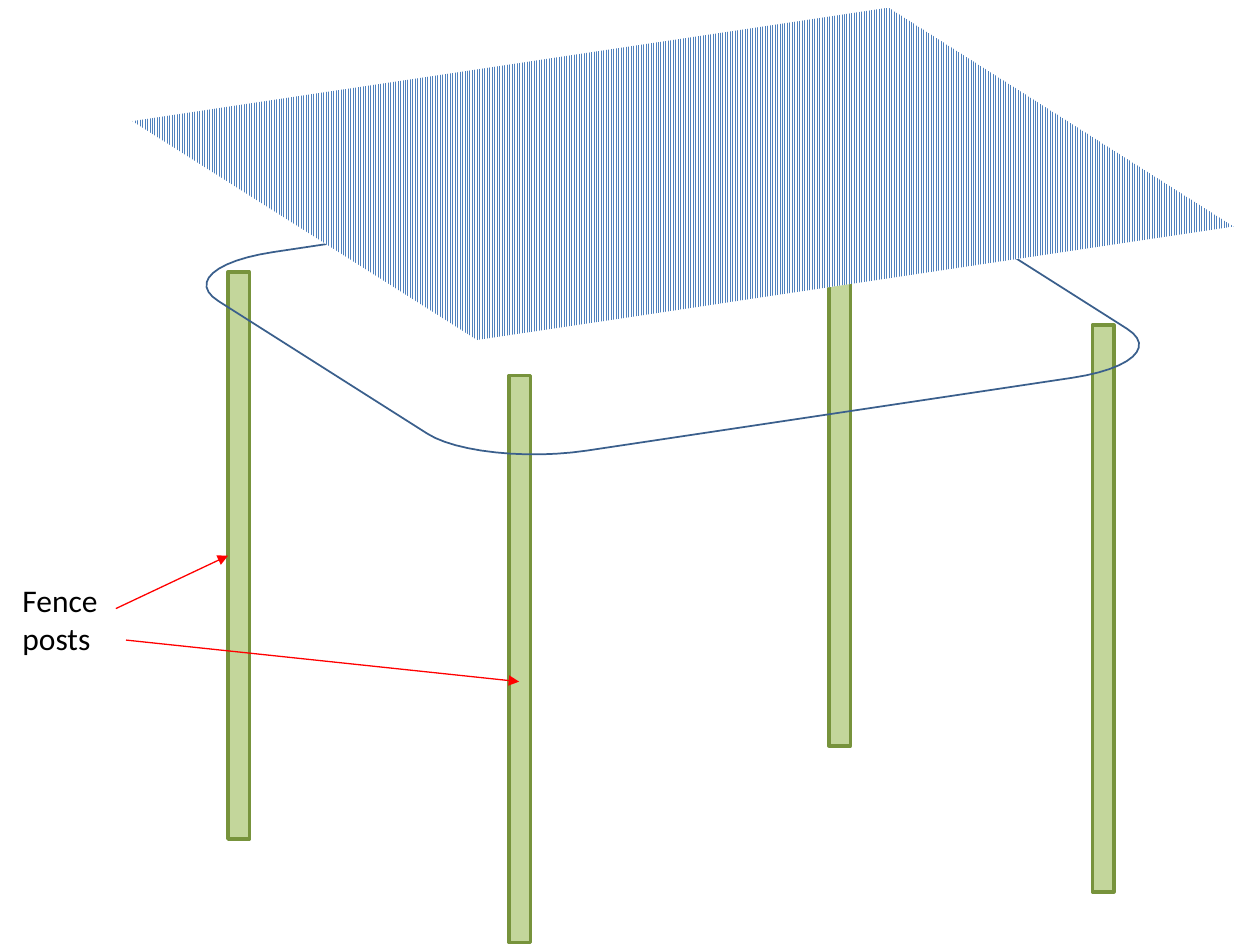
from math import cos, pi, sin

from lxml import etree
from pptx import Presentation
from pptx.dml.color import RGBColor
from pptx.enum.dml import MSO_PATTERN
from pptx.enum.shapes import MSO_CONNECTOR, MSO_SHAPE
from pptx.oxml.ns import qn
from pptx.util import Inches, Pt

RECTANGLE = MSO_SHAPE.RECTANGLE
STRAIGHT = MSO_CONNECTOR.STRAIGHT
LIGHT_VERTICAL = MSO_PATTERN.LIGHT_VERTICAL
BLANK_LAYOUT = 6
POST_WIDTH, POST_HEIGHT = 0.17, 4.5
ACROSS = (0.9, -0.135)
DEPTH = (0.438, 0.278)
CORNERS = [(1, 1), (-1, 1), (-1, -1), (1, -1)]
ARC_STEPS = 12


def color(value):
    return RGBColor.from_string(value)


def tilted_panel(page, center, width, depth, radius):
    steps = ARC_STEPS if radius else 0
    points = []
    for quarter, (side, end) in enumerate(CORNERS):
        for step in range(steps + 1):
            angle = (quarter + step / max(steps, 1)) * pi / 2
            u = side * (width / 2 - radius) + radius * cos(angle)
            v = end * (depth / 2 - radius) + radius * sin(angle)
            points.append(tuple(
                Inches(middle + u * across + v * deep)
                for middle, across, deep in zip(center, ACROSS, DEPTH)
            ))
    builder = page.shapes.build_freeform(*points[0])
    builder.add_line_segments(points[1:], close=True)
    panel = builder.convert_to_shape()
    panel.shadow.inherit = False
    return panel


deck = Presentation()
deck.slide_width, deck.slide_height = Inches(10), Inches(7.5)
page = deck.slides.add_slide(deck.slide_layouts[BLANK_LAYOUT])

for left, top in [(4.04, 2.98), (1.81, 2.16), (6.58, 1.42), (8.67, 2.58)]:
    post = page.shapes.add_shape(
        RECTANGLE, *map(Inches, (left, top, POST_WIDTH, POST_HEIGHT)))
    post.shadow.inherit = False
    post.fill.solid()
    post.fill.fore_color.rgb = color("C3D69B")
    post.line.color.rgb = color("77933C")
    post.line.width = Pt(2)

hoop = tilted_panel(page, (5.34, 2.5), 6.17, 5.67, 0.94)
hoop.fill.background()
hoop.line.color.rgb = color("3A5F8C")
hoop.line.width = Pt(1)

cover = tilted_panel(page, (5.42, 1.38), 6.67, 6.25, 0)
cover.fill.patterned()
cover.fill.pattern = LIGHT_VERTICAL
cover.fill.fore_color.rgb = color("4F81BD")
cover.fill.back_color.rgb = color("FFFFFF")
cover.line.fill.background()

for ends in [(1, 5.08, 4.12, 5.41), (0.92, 4.83, 1.81, 4.41)]:
    arrow = page.shapes.add_connector(STRAIGHT, *map(Inches, ends))
    arrow.line.color.rgb = color("FF0000")
    arrow.line.width = Pt(0.75)
    etree.SubElement(arrow.line._get_or_add_ln(), qn("a:tailEnd"), type="triangle")
    etree.SubElement(arrow._element.spPr, qn("a:effectLst"))

label = page.shapes.add_textbox(*map(Inches, (0.08, 4.56, 0.83, 0.71)))
label.text_frame.word_wrap = True
span = label.text_frame.paragraphs[0].add_run()
span.text = "Fence posts"
for name, value in {"name": "Calibri", "size": Pt(18)}.items():
    setattr(span.font, name, value)
span.font.color.rgb = color("000000")

deck.save("out.pptx")
